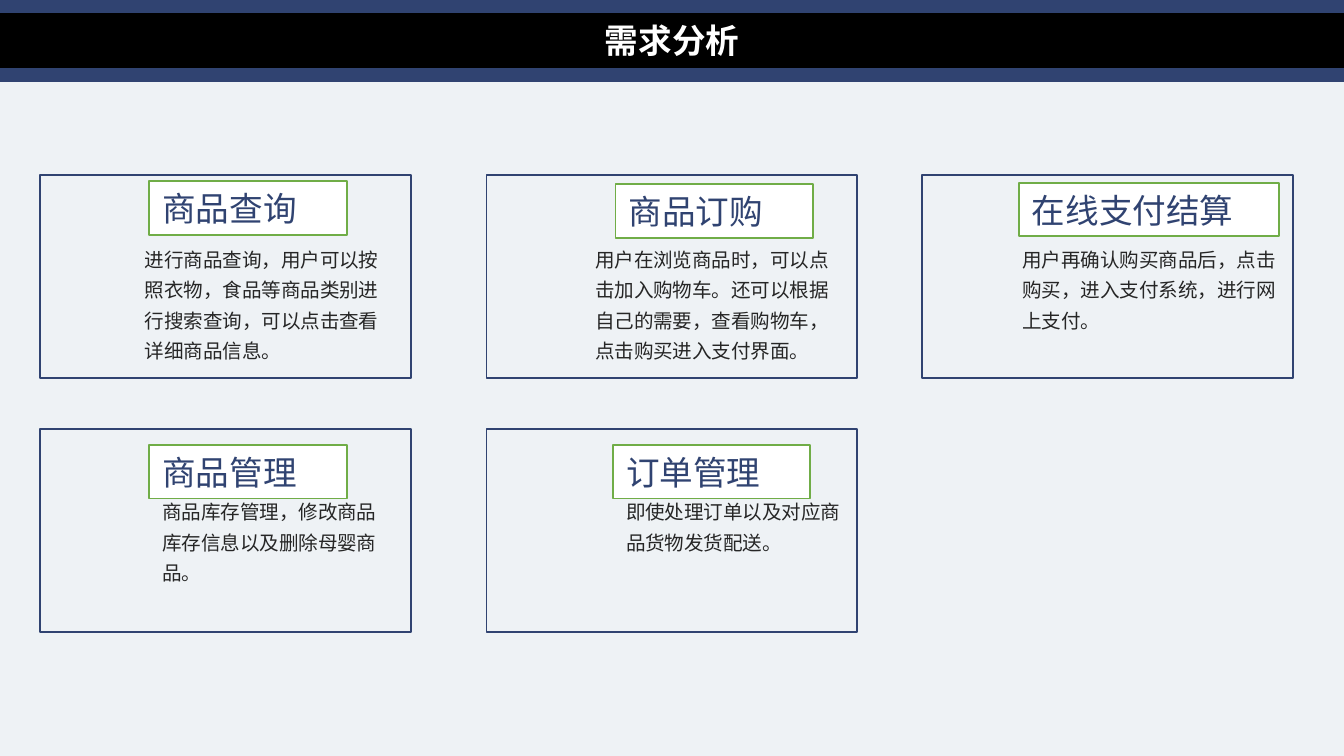
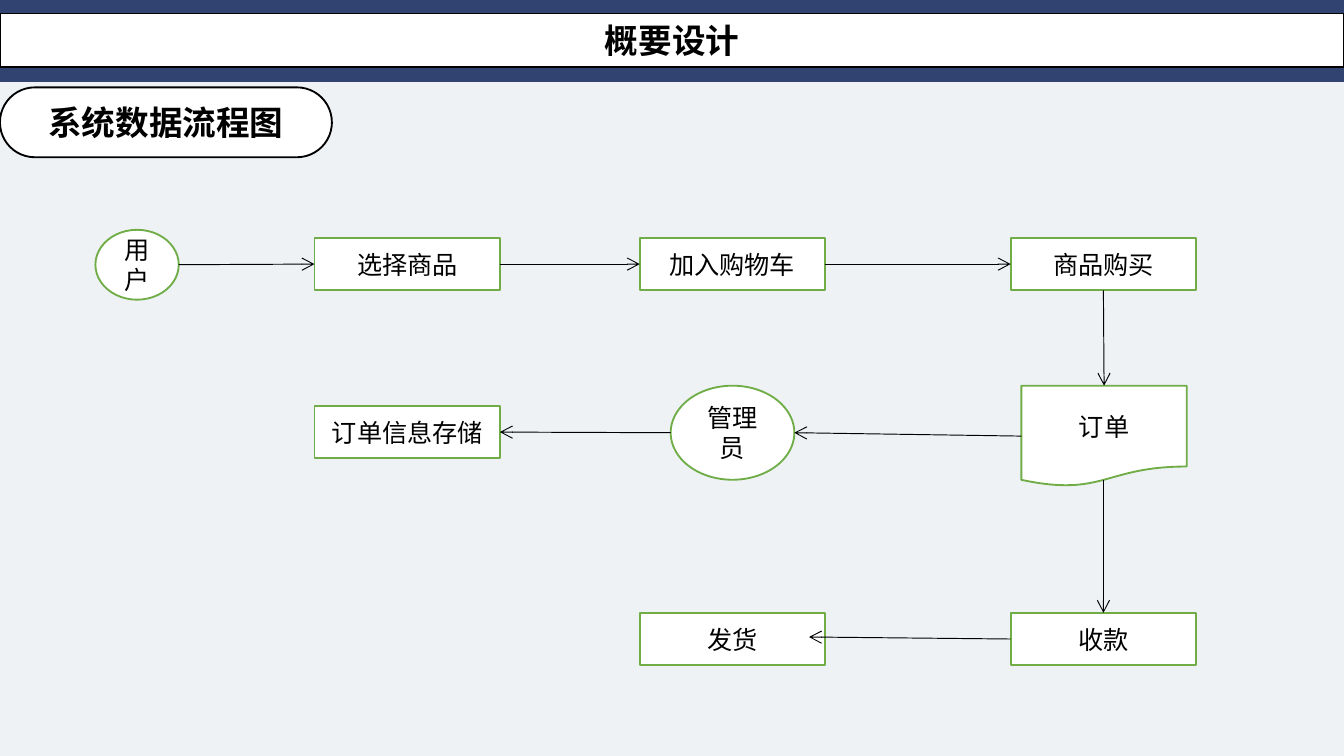
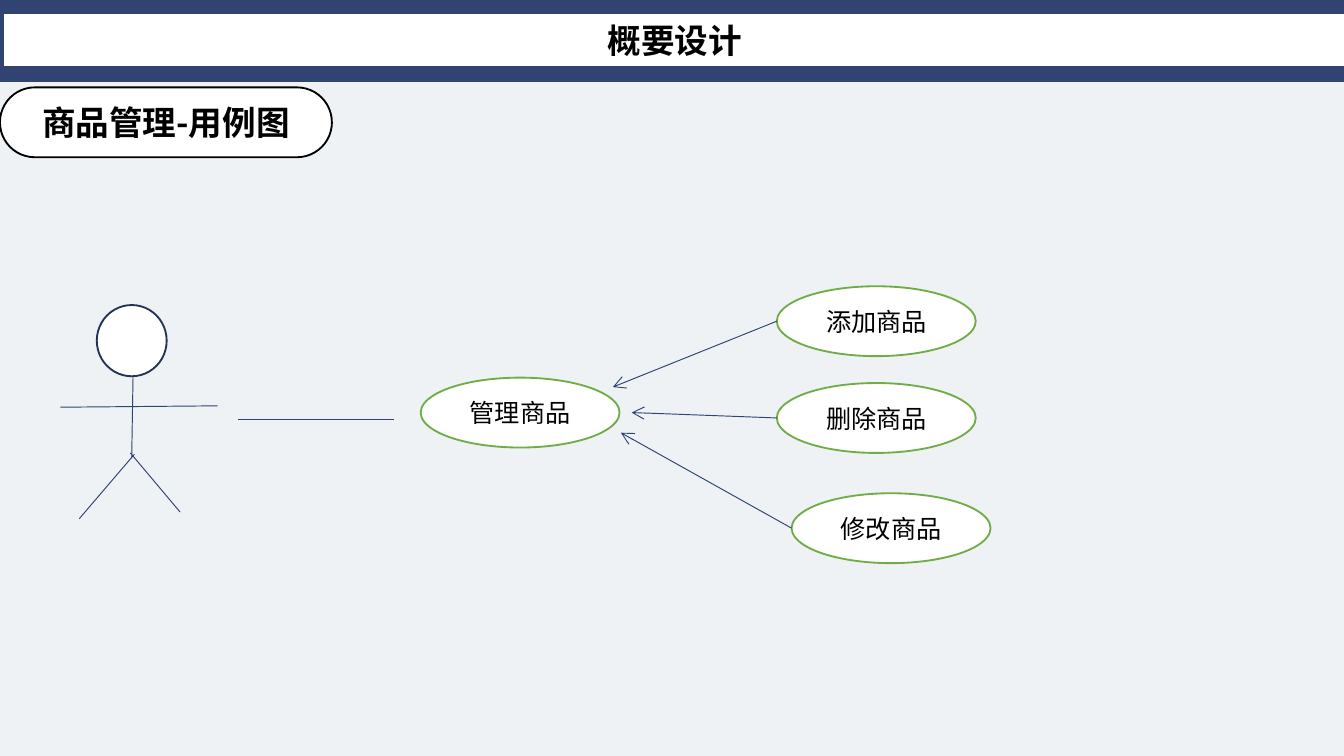
from lxml import etree
from pptx import Presentation
from pptx.dml.color import RGBColor
from pptx.enum.shapes import MSO_CONNECTOR, MSO_SHAPE
from pptx.enum.text import MSO_ANCHOR, MSO_AUTO_SIZE, PP_ALIGN
from pptx.oxml.ns import qn
from pptx.util import Inches, Pt

# Shared style
NAVY = RGBColor(0x30, 0x43, 0x71)
DARK_NAVY = RGBColor(0x24, 0x32, 0x54)
GREEN = RGBColor(0x70, 0xAD, 0x47)
PALE = RGBColor(0xEE, 0xF2, 0xF5)
WHITE = RGBColor(0xFF, 0xFF, 0xFF)
BLACK = RGBColor(0x00, 0x00, 0x00)
CHARCOAL = RGBColor(0x26, 0x26, 0x26)
HEADING_FONT = "Noto Sans CJK SC"
BODY_FONT = "Calibri"

RECTANGLE = MSO_SHAPE.RECTANGLE
ROUNDED = MSO_SHAPE.ROUNDED_RECTANGLE
ELLIPSE = MSO_SHAPE.OVAL
DOCUMENT = MSO_SHAPE.FLOWCHART_DOCUMENT
STRAIGHT = MSO_CONNECTOR.STRAIGHT
LEFT, CENTER = PP_ALIGN.LEFT, PP_ALIGN.CENTER
TOP, MIDDLE = MSO_ANCHOR.TOP, MSO_ANCHOR.MIDDLE
FIXED_SIZE = MSO_AUTO_SIZE.NONE


# Basic parts
def write_text(shape, text, size=13.5, color=BLACK, font=BODY_FONT, bold=False,
               align=CENTER, anchor=MIDDLE, line_spacing=None):
    frame = shape.text_frame
    frame.auto_size = FIXED_SIZE
    frame.word_wrap = True
    frame.vertical_anchor = anchor
    paragraph = frame.paragraphs[0]
    paragraph.alignment = align
    if line_spacing:
        paragraph.line_spacing = line_spacing
    run = paragraph.add_run()
    run.text = text
    run.font.size = Pt(size)
    run.font.bold = bold
    run.font.name = font
    run.font.color.rgb = color
    if font == HEADING_FONT:
        east_asian = etree.SubElement(run.font._element, qn("a:ea"))
        east_asian.set("typeface", font)


def paint(shape, fill=None, line=None):
    if fill is None:
        shape.fill.background()
    else:
        shape.fill.solid()
        shape.fill.fore_color.rgb = fill
    if line is None:
        shape.line.fill.background()
    else:
        shape.line.color.rgb = line
        shape.line.width = Pt(1)


def add_box(slide, kind, box, fill=None, line=None):
    shape = slide.shapes.add_shape(kind, *map(Inches, box))
    shape.shadow.inherit = False
    paint(shape, fill, line)
    return shape


def add_line(slide, start, end, color, arrow=False):
    connector = slide.shapes.add_connector(STRAIGHT, *map(Inches, start + end))
    connector.line.color.rgb = color
    connector.line.width = Pt(0.5)
    if arrow:
        tail = etree.SubElement(connector.line._get_or_add_ln(), qn("a:tailEnd"))
        tail.set("type", "arrow")
    etree.SubElement(connector._element.spPr, qn("a:effectLst"))


def shift(origin, point):
    return origin[0] + point[0], origin[1] + point[1]


def side_point(box, side):
    left, top, width, height = box
    return {
        "left": (left, top + height / 2),
        "right": (left + width, top + height / 2),
        "top": (left + width / 2, top),
        "bottom": (left + width / 2, top + height),
    }[side]


# Slide frame
def prepare_layout(presentation):
    layout = presentation.slide_layouts[5]
    layout.background.fill.solid()
    layout.background.fill.fore_color.rgb = PALE
    return layout


def add_layout_band(layout, slide):
    """Draw the band on a slide, then move it to the shared layout."""
    band = add_box(slide, RECTANGLE, (0, 0, 10, 0.61), NAVY)
    layout.shapes._spTree.insert(2, band._element)


def add_titled_slide(presentation, layout, title, left=0, fill=WHITE, line=BLACK,
                     color=BLACK):
    slide = presentation.slides.add_slide(layout)
    heading = slide.shapes.title
    heading.left, heading.top = Inches(left), Inches(0.1)
    heading.width, heading.height = Inches(10), Inches(0.4)
    paint(heading, fill, line)
    write_text(heading, title, size=18, color=color, font=HEADING_FONT, bold=True)
    return slide


def add_section_label(slide, text):
    label = add_box(slide, ROUNDED, (0, 0.65, 2.47, 0.52), WHITE, BLACK)
    label.adjustments[0] = 0.5
    write_text(label, text, size=18, font=HEADING_FONT, bold=True)


# Requirement cards: heading and body boxes are relative to the card
CARD_COLUMNS = (0.3, 3.62, 6.86)
CARD_ROWS = (1.3, 3.19)
CARDS = (
    (0, 0, "商品查询", (0.81, 0.05, 1.47),
     "进行商品查询，用户可以按照衣物，食品等商品类别进行搜索查询，可以点击查看详细商品信息。",
     (0.68, 0.44, 1.95, 1.02)),
    (1, 0, "商品订购", (0.96, 0.07, 1.47),
     "用户在浏览商品时，可以点击加入购物车。还可以根据自己的需要，查看购物车，点击购买进入支付界面。",
     (0.71, 0.44, 2.05, 1.02)),
    (2, 0, "在线支付结算", (0.72, 0.06, 1.94),
     "用户再确认购买商品后，点击购买，进入支付系统，进行网上支付。",
     (0.65, 0.44, 2.11, 0.79)),
    (0, 1, "商品管理", (0.81, 0.12, 1.47),
     "商品库存管理，修改商品库存信息以及删除母婴商品。",
     (0.81, 0.43, 1.82, 0.79)),
    (1, 1, "订单管理", (0.94, 0.12, 1.47),
     "即使处理订单以及对应商品货物发货配送。",
     (0.94, 0.43, 1.82, 0.56)),
)


def add_card(slide, origin, heading, heading_box, body, body_box):
    add_box(slide, RECTANGLE, origin + (2.76, 1.51), line=NAVY)
    body_place = shift(origin, body_box) + body_box[2:]
    description = slide.shapes.add_textbox(*map(Inches, body_place))
    write_text(description, body, size=10.5, color=CHARCOAL, align=LEFT,
               anchor=TOP, line_spacing=1.3)
    label_place = shift(origin, heading_box) + (heading_box[2], 0.4)
    label = add_box(slide, RECTANGLE, label_place, WHITE, GREEN)
    write_text(label, heading, size=18, color=NAVY, font=HEADING_FONT, align=LEFT)


# Data flow: positions are relative to the diagram's corner
STEP = (1.38, 0.39)
FLOW_NODES = {
    "选择商品": (RECTANGLE, (1.63, 0.06) + STEP),
    "加入购物车": (RECTANGLE, (4.05, 0.06) + STEP),
    "商品购买": (RECTANGLE, (6.81, 0.06) + STEP),
    "用户": (ELLIPSE, (0, 0, 0.62, 0.52)),
    "订单": (DOCUMENT, (6.89, 1.16, 1.23, 0.75)),
    "管理员": (ELLIPSE, (4.28, 1.16, 0.92, 0.7)),
    "订单信息存储": (RECTANGLE, (1.63, 1.31) + STEP),
    "发货": (RECTANGLE, (4.05, 2.85) + STEP),
    "收款": (RECTANGLE, (6.81, 2.85) + STEP),
}
FLOW_LINKS = (
    (("用户", "right"), ("选择商品", "left")),
    (("选择商品", "right"), ("加入购物车", "left")),
    (("加入购物车", "right"), ("商品购买", "left")),
    (("商品购买", "bottom"), ("订单", "top")),
    ((7.5, 1.86), ("收款", "top")),
    (("收款", "left"), (5.31, 3.03)),
    (("订单", "left"), ("管理员", "right")),
    (("管理员", "left"), ("订单信息存储", "right")),
)


def add_node(slide, kind, box, text):
    node = add_box(slide, kind, box, WHITE, GREEN)
    write_text(node, text)


def flow_point(end):
    if end[0] in FLOW_NODES:
        return side_point(FLOW_NODES[end[0]][1], end[1])
    return end


def add_data_flow(slide, origin):
    for text, (kind, box) in FLOW_NODES.items():
        add_node(slide, kind, shift(origin, box) + box[2:], text)
    for start, end in FLOW_LINKS:
        add_line(slide, shift(origin, flow_point(start)),
                 shift(origin, flow_point(end)), BLACK, arrow=True)


# Use case diagram
ACTOR_LIMBS = (
    ((0, 0.76), (1.17, 0.75)),
    ((0.54, 0.53), (0.53, 1.14)),
    ((0.55, 1.11), (0.14, 1.59)),
    ((0.52, 1.1), (0.89, 1.54)),
)
CASE_SIZE = (1.48, 0.52)
# Name, position and arrow end of each detailed case
DETAIL_CASES = (
    ("修改商品", (2.76, 1.54), (1.49, 1.09)),
    ("添加商品", (2.65, 0), (1.43, 0.75)),
    ("删除商品", (2.65, 0.72), (1.57, 0.94)),
)


def add_actor(slide, origin):
    add_box(slide, ELLIPSE, shift(origin, (0.27, 0)) + (0.52, 0.53), WHITE, DARK_NAVY)
    for start, end in ACTOR_LIMBS:
        add_line(slide, shift(origin, start), shift(origin, end), NAVY)


def add_use_cases(slide, origin):
    add_node(slide, ELLIPSE, shift(origin, (0, 0.68)) + CASE_SIZE, "管理商品")
    add_line(slide, shift(origin, (-1.36, 0.99)), shift(origin, (-0.2, 0.99)), NAVY)
    for text, position, arrow_end in DETAIL_CASES:
        box = shift(origin, position) + CASE_SIZE
        add_node(slide, ELLIPSE, box, text)
        add_line(slide, side_point(box, "left"), shift(origin, arrow_end), NAVY,
                 arrow=True)


def main():
    presentation = Presentation()
    presentation.slide_width = Inches(10)
    presentation.slide_height = Inches(10 * 9 / 16)
    layout = prepare_layout(presentation)

    requirements = add_titled_slide(presentation, layout, "需求分析", fill=BLACK,
                                    color=WHITE)
    add_layout_band(layout, requirements)
    for column, row, *content in CARDS:
        add_card(requirements, (CARD_COLUMNS[column], CARD_ROWS[row]), *content)

    data_flow = add_titled_slide(presentation, layout, "概要设计")
    add_section_label(data_flow, "系统数据流程图")
    add_data_flow(data_flow, (0.71, 1.71))

    use_cases = add_titled_slide(presentation, layout, "概要设计", left=0.02, line=NAVY)
    add_section_label(use_cases, "商品管理-用例图")
    add_actor(use_cases, (0.45, 2.27))
    add_use_cases(use_cases, (3.13, 2.13))

    presentation.save("out.pptx")


if __name__ == "__main__":
    main()
